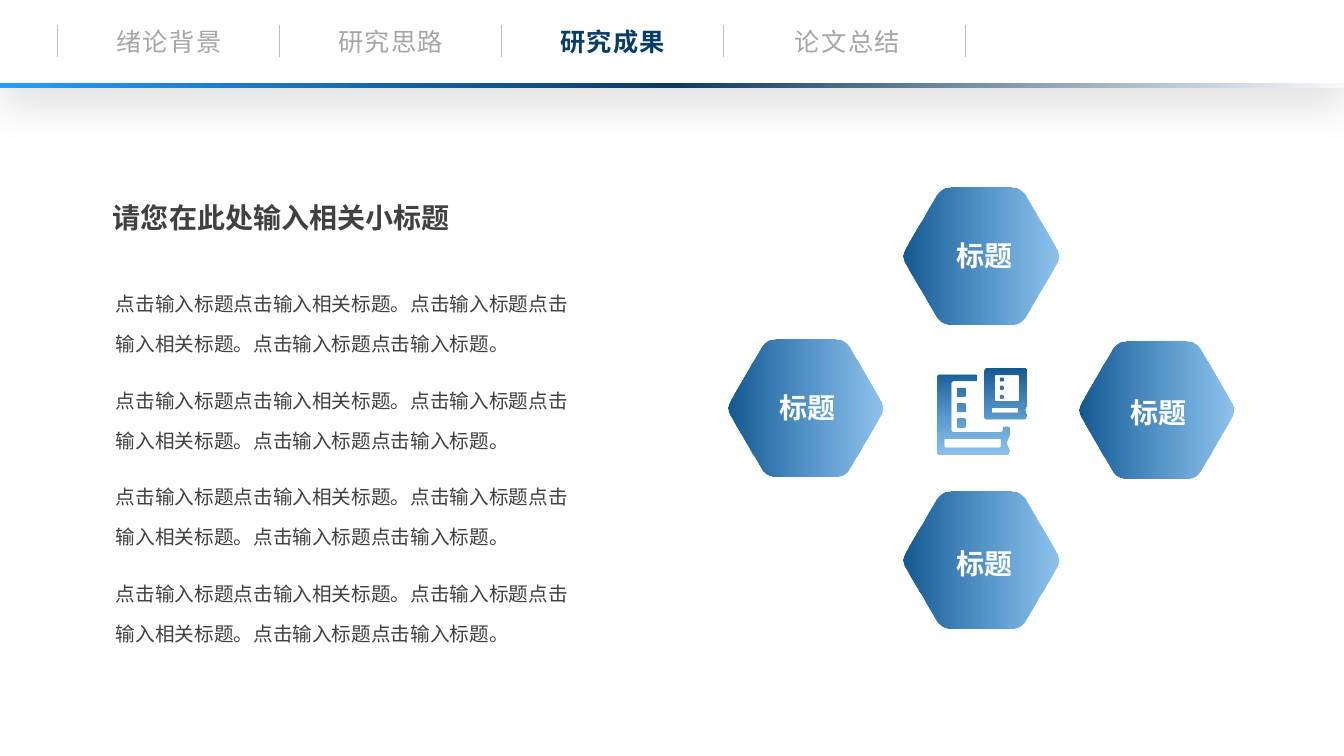
import lxml.etree
import pptx
import pptx.dml.color
import pptx.enum.shapes
import pptx.enum.text
import pptx.oxml.ns
import pptx.util

Inches = pptx.util.Inches
Align = pptx.enum.text.PP_ALIGN
Anchor = pptx.enum.text.MSO_ANCHOR
qn = pptx.oxml.ns.qn

FONT = "Noto Sans CJK SC"
COLORS = {
    "white": "FFFFFF", "text": "404040", "tab": "A6A6A6", "active": "0A3C69",
    "separator": "BFBFBF", "deep": "145991", "bright": "1D83D5",
    "azure": "239DFF", "navy": "0D3B61", "mist": "F6F8FC", "black": "000000",
}
TABS = [("绪论背景", 1.04), ("研究思路", 3.24), ("研究成果", 5.44), ("论文总结", 7.77)]
ACTIVE_TAB = "研究成果"
SEPARATORS = [0.57, 2.77, 4.97, 7.17, 9.57]
HEADING = "请您在此处输入相关小标题"
BODY = ["点击输入标题点击输入相关标题。点击输入标题点击输入相关标题。点击输入标题点击输入标题。"] * 4
HEXAGONS = [
    ("标题", (9.73, 2.54), (9.37, 2.32)),
    ("标题", (7.99, 4.05), (7.62, 3.83)),
    ("标题", (11.47, 4.07), (11.1, 3.87)),
    ("标题", (9.73, 5.56), (9.37, 5.37)),
]
HEXAGON_CORNERS = [(-0.39, -0.68), (0.39, -0.68), (0.79, 0),
                   (0.39, 0.68), (-0.39, 0.68), (-0.79, 0)]
BLUE_FADE = [(0, "deep", 100), (100, "bright", 50)]
BAR_FADE = [(0, "azure", 100), (50, "navy", 100), (100, "mist", 100)]

BIG_BOOK = [(9.3, 3.72), (9.69, 3.72), (9.69, 3.79), (9.44, 3.79), (9.44, 4.28),
            (9.94, 4.28), (9.94, 4.23), (10.01, 4.23), (10.01, 4.32),
            (9.98, 4.39), (10.01, 4.46), (10, 4.51), (9.3, 4.51)]
SMALL_BOOK = [(9.76, 3.66), (10.18, 3.66), (10.18, 4.03), (10.16, 4.07),
              (10.18, 4.11), (10.17, 4.16), (9.76, 4.16)]
BOOK_PANELS = [(9.37, 4.35, 0.55, 0.08), (9.83, 4.05, 0.26, 0.04), (9.86, 3.73, 0.24, 0.25)]
BOOK_PANELS += [(9.49, top, 0.09, 0.09) for top in (3.85, 4, 4.15)]
BOOK_PANELS += [(9.91, top, 0.04, 0.04) for top in (3.75, 3.83, 3.92)]


def rgb(name):
    return pptx.dml.color.RGBColor.from_string(COLORS[name])


def add_color(parent, name, alpha):
    color = lxml.etree.SubElement(parent, qn("a:srgbClr"), val=COLORS[name])
    if alpha < 100:
        lxml.etree.SubElement(color, qn("a:alpha"), val=str(alpha * 1000))


def fill_gradient(shape, stops, angle):
    shape.shadow.inherit = False
    shape.line.fill.background()
    shape.fill.gradient()
    gradient = shape.element.spPr.find(qn("a:gradFill"))
    for child in list(gradient):
        gradient.remove(child)
    stop_list = lxml.etree.SubElement(gradient, qn("a:gsLst"))
    for position, name, alpha in stops:
        stop = lxml.etree.SubElement(stop_list, qn("a:gs"), pos=str(position * 1000))
        add_color(stop, name, alpha)
    lxml.etree.SubElement(gradient, qn("a:lin"), ang=str(angle * 60000), scaled="0")


def round_corners(corners, radius, steps=6):
    points = []
    for index, corner in enumerate(corners):
        ends = []
        for other in (corners[index - 1], corners[(index + 1) % len(corners)]):
            dx, dy = other[0] - corner[0], other[1] - corner[1]
            share = radius / (dx * dx + dy * dy) ** 0.5
            ends.append((corner[0] + dx * share, corner[1] + dy * share))
        for step in range(steps + 1):
            t = step / steps
            points.append(tuple((1 - t) ** 2 * a + 2 * t * (1 - t) * c + t * t * b
                                for a, c, b in zip(ends[0], corner, ends[1])))
    return points


def panel_corners(left, top, width, height):
    right, bottom = left + width, top + height
    return [(left, top), (right, top), (right, bottom), (left, bottom)]


def add_outline(shapes, contours):
    builder = None
    for contour in contours:
        points = [(Inches(x), Inches(y)) for x, y in contour]
        if builder is None:
            builder = shapes.build_freeform(*points[0], scale=1.0)
        else:
            builder.move_to(*points[0])
        builder.add_line_segments(points[1:], close=True)
    return builder.convert_to_shape()


def place(box, left, top, width, height):
    box.left, box.top, box.width, box.height = map(Inches, (left, top, width, height))


def style(para, size, color, bold=False, align=Align.LEFT, tracking=0):
    para.alignment = align
    font = para.font
    font.size, font.bold, font.name = pptx.util.Pt(size), bold, FONT
    font.color.rgb = rgb(color)
    properties = para._p.pPr.find(qn("a:defRPr"))
    lxml.etree.SubElement(properties, qn("a:ea"), typeface=FONT)
    if tracking:
        properties.set("spc", str(tracking * 100))


def add_label(shapes, text, left, top, width, height, **look):
    box = shapes.add_textbox(*map(Inches, (left, top, width, height)))
    box.text_frame.word_wrap = False
    box.text_frame.text = text
    style(box.text_frame.paragraphs[0], align=Align.CENTER, **look)


def add_header(shapes):
    panel = shapes.add_shape(pptx.enum.shapes.MSO_SHAPE.RECTANGLE, 0, 0, Inches(13.33), Inches(0.85))
    panel.shadow.inherit = False
    panel.fill.solid()
    panel.fill.fore_color.rgb = rgb("white")
    panel.line.fill.background()
    effects = panel.element.spPr.find(qn("a:effectLst"))
    shadow = lxml.etree.SubElement(
        effects, qn("a:outerShdw"), blurRad=str(pptx.util.Pt(28)), dist=str(pptx.util.Pt(15)),
        dir=str(90 * 60000), algn="t", rotWithShape="0")
    add_color(shadow, "black", 11)
    for x in SEPARATORS:
        line = shapes.add_connector(pptx.enum.shapes.MSO_CONNECTOR.STRAIGHT,
                                    Inches(x), Inches(0.25), Inches(x), Inches(0.57))
        line.line.color.rgb = rgb("separator")
        line.line.width = pptx.util.Pt(0.5)
        lxml.etree.SubElement(line.element.spPr, qn("a:effectLst"))
    for name, left in TABS:
        active = name == ACTIVE_TAB
        add_label(shapes, name, left, 0.21, 1.27, 0.4, size=18,
                  color="active" if active else "tab", bold=active, tracking=1)
    bar = add_outline(shapes, [panel_corners(0, 0.82, 13.33, 0.05)])
    fill_gradient(bar, BAR_FADE, 0)


def add_text(page):
    title = page.shapes.title
    place(title, 1.02, 1.94, 3.65, 0.44)
    title.text_frame.text = HEADING
    title.text_frame.word_wrap = False
    title.text_frame.vertical_anchor = Anchor.TOP
    title.text_frame.auto_size = pptx.enum.text.MSO_AUTO_SIZE.NONE
    style(title.text_frame.paragraphs[0], 20, "text", bold=True)

    body = page.placeholders[1]
    place(body, 1.05, 2.68, 4.82, 3.76)
    frame = body.text_frame
    frame.text = "\n".join(BODY)
    frame.word_wrap = True
    frame.vertical_anchor = Anchor.TOP
    frame.auto_size = pptx.enum.text.MSO_AUTO_SIZE.NONE
    for index, para in enumerate(frame.paragraphs):
        properties = para._p.get_or_add_pPr()
        properties.set("marL", "0")
        properties.set("indent", "0")
        lxml.etree.SubElement(properties, qn("a:buNone"))
        para.line_spacing = 1.7
        para.space_before = pptx.util.Pt(6 if index else 0)
        para.space_after = pptx.util.Pt(6)
        style(para, 14, "text")


def add_diagram(shapes):
    for text, (x, y), label_at in HEXAGONS:
        corners = [(x + dx, y + dy) for dx, dy in HEXAGON_CORNERS]
        hexagon = add_outline(shapes, [round_corners(corners, 0.09)])
        fill_gradient(hexagon, BLUE_FADE, 0)
        add_label(shapes, text, *label_at, 0.78, 0.44, size=20, color="white", bold=True)
    contours = [round_corners(book, 0.02) for book in (BIG_BOOK, SMALL_BOOK)]
    contours += [round_corners(panel_corners(*panel), 0.01) for panel in BOOK_PANELS]
    fill_gradient(add_outline(shapes, contours), BLUE_FADE, 90)


def main():
    deck = pptx.Presentation()
    deck.slide_width, deck.slide_height = Inches(13.33), Inches(7.5)
    page = deck.slides.add_slide(deck.slide_layouts[1])
    add_text(page)
    add_diagram(page.shapes)
    add_header(page.shapes)
    deck.save("out.pptx")


if __name__ == "__main__":
    main()
